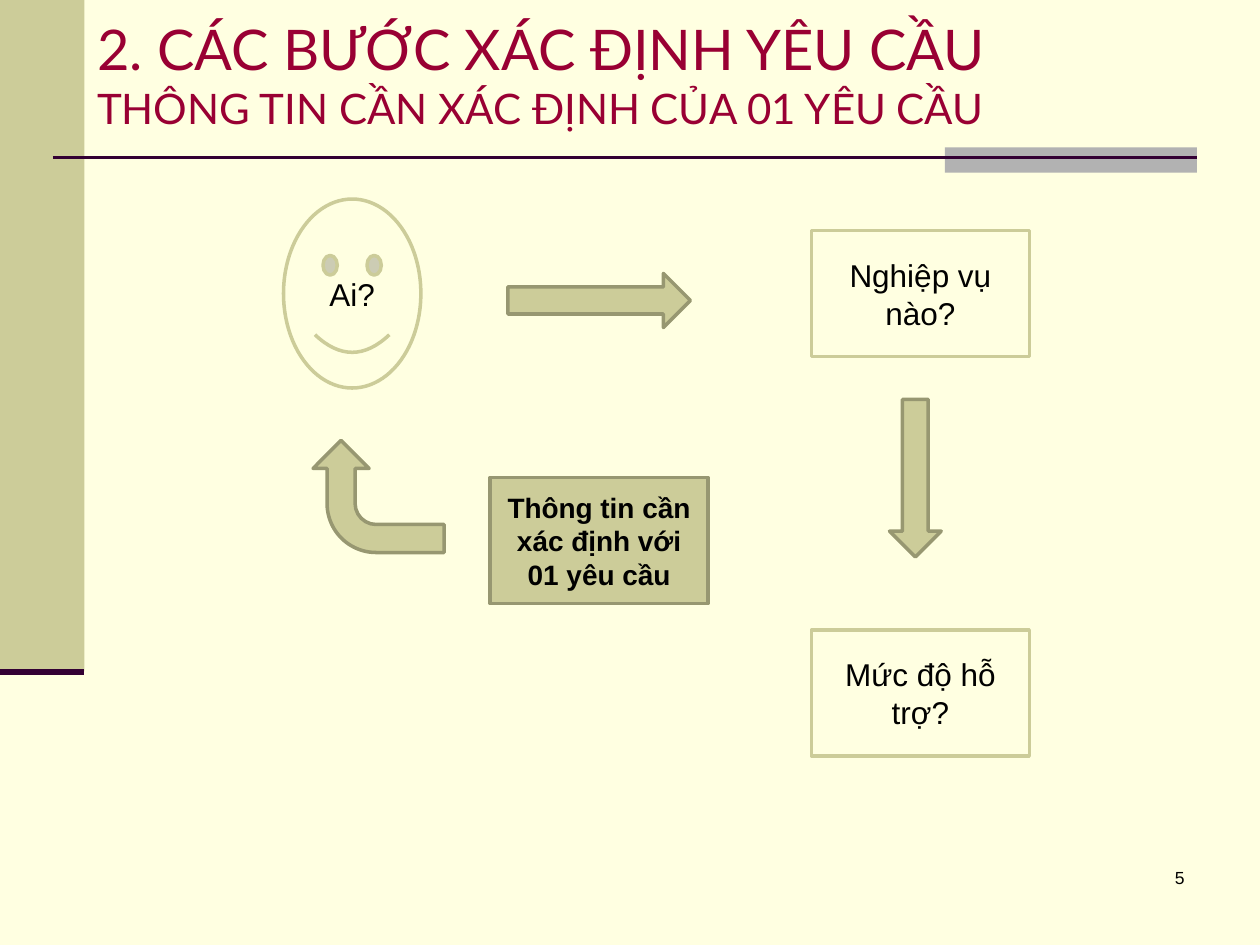
from typing import NamedTuple, Optional

from lxml.etree import SubElement
from pptx import Presentation
from pptx.dml.color import RGBColor
from pptx.enum.shapes import MSO_CONNECTOR as Link, MSO_SHAPE as Kind
from pptx.enum.text import MSO_ANCHOR as Anchor, MSO_AUTO_SIZE as Fit, PP_ALIGN as Align
from pptx.oxml.ns import qn
from pptx.util import Inches, Pt

CREAM = RGBColor(0xFF, 0xFF, 0xE1)
SAND = RGBColor(0xCC, 0xCC, 0x99)
OLIVE = RGBColor(0x97, 0x97, 0x71)
GREY = RGBColor(0xB2, 0xB2, 0xB2)
PLUM = RGBColor(0x33, 0x00, 0x33)
WINE = RGBColor(0x99, 0x00, 0x33)
BLACK = RGBColor(0, 0, 0)

BOX = (1.73, 1)
RIGHT = 6.44  # left edge of the right-hand boxes


class Part(NamedTuple):
    kind: Kind
    spot: tuple[float, float]
    size: tuple[float, float]
    fill: RGBColor = SAND
    line: Optional[RGBColor] = OLIVE
    text: str = ""
    points: int = 18
    bold: bool = False
    turn: int = 0


class Rule(NamedTuple):
    start: tuple[float, float]
    end: tuple[float, float]
    width: float


BANDS = [
    Part(Kind.RECTANGLE, (0, 0), (0.67, 5.33), line=None),
    Part(Kind.RECTANGLE, (7.5, 1.17), (2, 0.2), GREY, None),
]
RULES = [
    Rule((0.42, 1.25), (9.5, 1.25), 1.5),
    Rule((0, 5.33), (0.67, 5.33), 3.5),
]
STEPS = [
    Part(Kind.SMILEY_FACE, (2.25, 1.58), (1.09, 1.5), CREAM, SAND, "Ai?"),
    Part(Kind.RECTANGLE, (RIGHT, 1.83), BOX, CREAM, SAND, "Nghiệp vụ nào?"),
    Part(Kind.RECTANGLE, (RIGHT, 5), BOX, CREAM, SAND, "Mức độ hỗ trợ?"),
    Part(Kind.RECTANGLE, (3.89, 3.79), BOX,
         text="Thông tin cần xác định với 01 yêu cầu", points=16, bold=True),
    Part(Kind.RIGHT_ARROW, (4.03, 2.17), (1.45, 0.43)),
    Part(Kind.DOWN_ARROW, (7.06, 3.17), (0.41, 1.25)),
    Part(Kind.BENT_ARROW, (2.56, 3.42), (0.89, 1.04), turn=270),
]
TITLE = [
    ("2. CÁC BƯỚC XÁC ĐỊNH YÊU CẦU", 32),
    ("THÔNG TIN CẦN XÁC ĐỊNH CỦA 01 YÊU CẦU", 24),
]


def write(para, text: str, color: RGBColor = BLACK, **style) -> None:
    run = para.add_run()
    run.text = text
    run.font.color.rgb = color
    for name, value in ({"name": "Arial"} | style).items():
        setattr(run.font, name, value)


def draw_part(slide, part: Part) -> None:
    shape = slide.shapes.add_shape(
        part.kind, *map(Inches, part.spot), *map(Inches, part.size))
    shape.shadow.inherit = False
    shape.rotation = part.turn
    shape.fill.solid()
    shape.fill.fore_color.rgb = part.fill
    if part.line is None:
        shape.line.fill.background()
    else:
        shape.line.color.rgb = part.line
        shape.line.width = Pt(2)
    if part.text:
        frame = shape.text_frame
        frame.word_wrap = True
        frame.vertical_anchor = Anchor.MIDDLE
        para = frame.paragraphs[0]
        para.alignment = Align.CENTER
        write(para, part.text, size=Pt(part.points), bold=part.bold)


def draw_rule(slide, rule: Rule) -> None:
    line = slide.shapes.add_connector(
        Link.STRAIGHT, *map(Inches, rule.start + rule.end))
    line.line.color.rgb = PLUM
    line.line.width = Pt(rule.width)
    SubElement(line._element.spPr, qn("a:effectLst"))


def set_title(slide) -> None:
    title = slide.shapes.title
    place = {"left": 0.67, "top": 0, "width": 9.33, "height": 1.17}
    for name, value in place.items():
        setattr(title, name, Inches(value))
    frame = title.text_frame
    frame.auto_size = Fit.NONE
    frame.vertical_anchor = Anchor.MIDDLE
    para = frame.paragraphs[0]
    para.alignment = Align.LEFT
    for row, (text, points) in enumerate(TITLE):
        if row:
            para.add_line_break()
        write(para, text, WINE, name="Lato", size=Pt(points))


def add_number(slide) -> None:
    box = slide.shapes.add_textbox(*map(Inches, (7.42, 6.83, 2.08, 0.5)))
    box.text_frame.word_wrap = True
    para = box.text_frame.paragraphs[0]
    para.alignment = Align.RIGHT
    write(para, "5", size=Pt(10))


def main() -> None:
    deck = Presentation()
    deck.slide_width, deck.slide_height = Inches(10), Inches(7.5)
    slide = deck.slides.add_slide(deck.slide_layouts[5])
    slide.background.fill.solid()
    slide.background.fill.fore_color.rgb = CREAM

    # Side band, header bar and rules
    for band in BANDS:
        draw_part(slide, band)
    for rule in RULES:
        draw_rule(slide, rule)

    # Title, flow of questions, page number
    set_title(slide)
    for step in STEPS:
        draw_part(slide, step)
    add_number(slide)
    deck.save("out.pptx")


if __name__ == "__main__":
    main()
